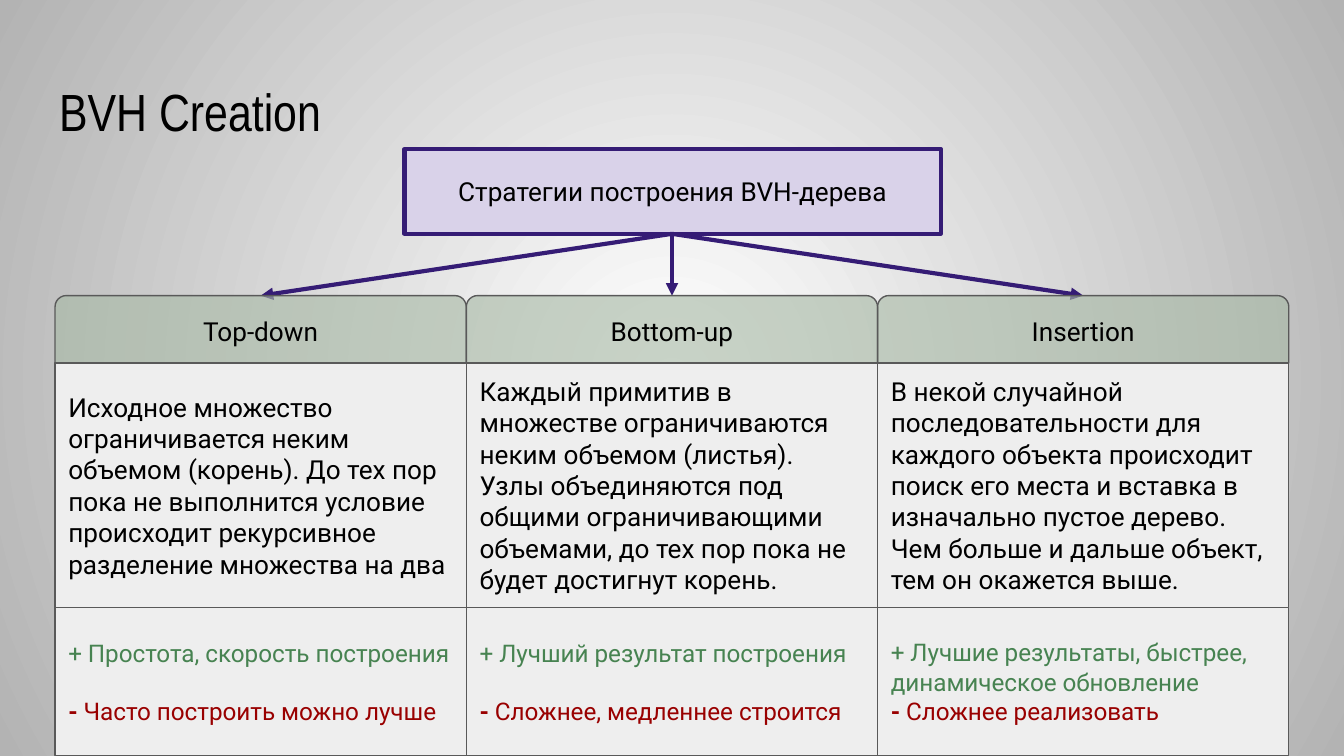
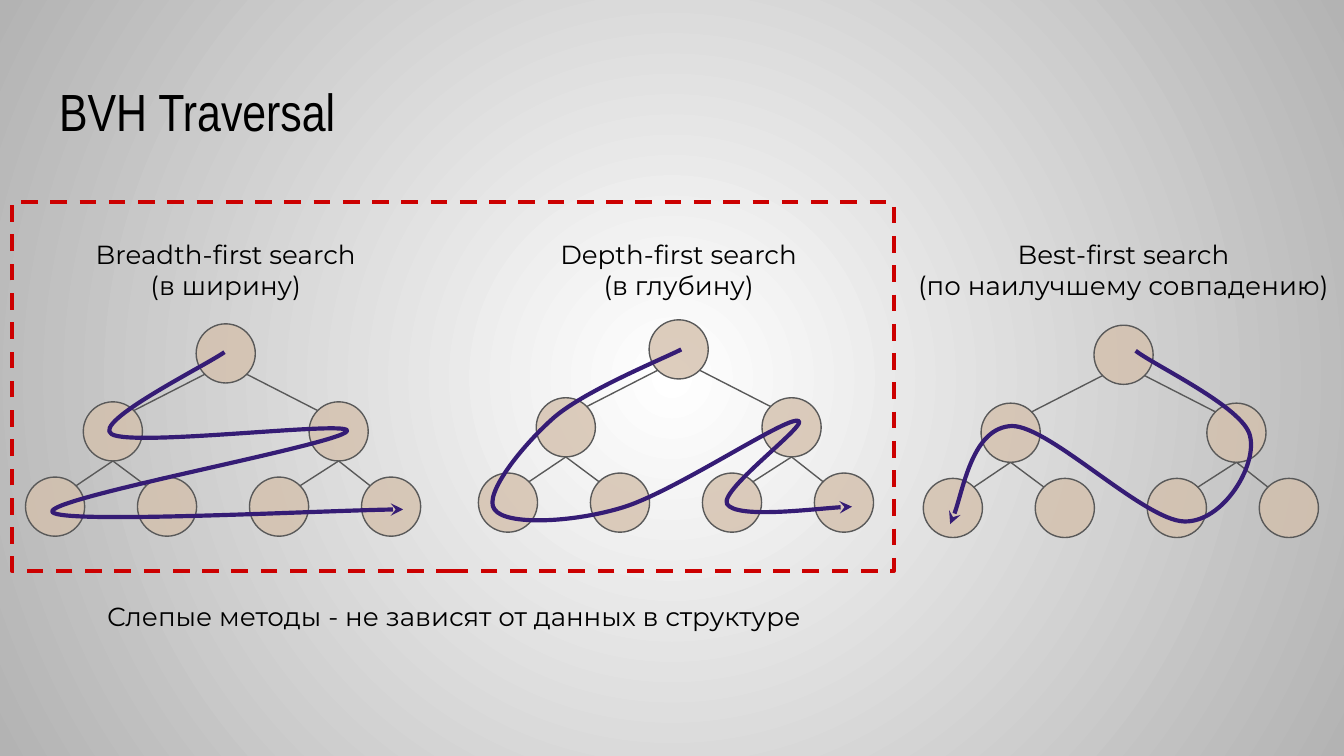
import pptx
import pptx.dml.color
import pptx.enum.dml
import pptx.enum.shapes
import pptx.enum.text
import pptx.oxml
import pptx.oxml.ns
import pptx.util
from lxml import etree

Inches, Pt = pptx.util.Inches, pptx.util.Pt
SHAPE = pptx.enum.shapes.MSO_SHAPE
ALIGN = pptx.enum.text.PP_ALIGN
ANCHOR = pptx.enum.text.MSO_ANCHOR
qn = pptx.oxml.ns.qn

# Shared style
INK, ACCENT, OUTLINE = "000000", "351C75", "595959"
GREEN, RED, FRAME = "478351", "990000", "CC0000"
LILAC, SAGE, PAPER, SAND = "D9D2E9", "A9BAA7", "EEEEEE", "D4C0AC"
TITLE_FONT, TABLE_FONT, TREE_FONT = "Arial Narrow", "Roboto", "Montserrat"
TITLE_BOX = (0.34, 0.49, 9.32, 0.63)

STRATEGIES = [
    ("Top-down",
     "Исходное множество ограничивается неким объемом (корень). До тех пор пока не "
     "выполнится условие происходит рекурсивное разделение множества на два",
     "+ Простота, скорость построения", " Часто построить можно лучше", 15.5),
    ("Bottom-up",
     "Каждый примитив в множестве ограничиваются неким объемом (листья). Узлы "
     "объединяются под общими ограничивающими объемами, до тех пор пока не будет "
     "достигнут корень.",
     "+ Лучший результат построения", " Сложнее, медленнее строится", 15.5),
    ("Insertion",
     "В некой случайной последовательности для каждого объекта происходит поиск его "
     "места и вставка в изначально пустое дерево. Чем больше и дальше объект, тем он "
     "окажется выше.",
     "+ Лучшие результаты, быстрее, динамическое обновление",
     " Сложнее реализовать", 0),
]

# Tree position, label width and lines, then the visiting route:
# start point and Bezier segments relative to the tree
SEARCHES = [
    (0.19, 2.41, 3.18, ["Breadth-first search", "(в ширину)"], (2.81, 1.38), [
        (2.37, 1.38, 0.27, 1.49, 0.2, 1.4), (0.13, 1.3, 2.32, 0.9, 2.39, 0.8),
        (2.47, 0.71, 0.8, 0.92, 0.64, 0.82), (0.49, 0.73, 1.34, 0.31, 1.48, 0.21)]),
    (3.56, 2.38, 3.18, ["Depth-first search", "(в глубину)"], (2.78, 1.39), [
        (2.63, 1.39, 1.92, 1.48, 1.85, 1.37), (1.79, 1.26, 2.51, 0.74, 2.37, 0.75),
        (2.24, 0.75, 1.44, 1.29, 1.06, 1.4), (0.69, 1.51, 0.2, 1.53, 0.12, 1.41),
        (0.03, 1.3, 0.34, 0.92, 0.57, 0.72), (0.81, 0.52, 1.35, 0.3, 1.51, 0.22)]),
    (6.87, 2.42, 4.03, ["Best-first search", "(по наилучшему совпадению)"], (0.2, 1.48), [
        (0.27, 1.36, 0.37, 0.76, 0.66, 0.75), (0.94, 0.75, 1.64, 1.45, 1.94, 1.46),
        (2.23, 1.47, 2.49, 1.04, 2.43, 0.82), (2.38, 0.61, 1.72, 0.3, 1.58, 0.19)]),
]


def rgb(value):
    return pptx.dml.color.RGBColor.from_string(value)


def sub(parent, tag, **attrs):
    return etree.SubElement(parent, qn(tag), {k: str(v) for k, v in attrs.items()})


def set_attrs(target, values):
    for name, value in values.items():
        setattr(target, name, value)


def set_line(shape, color, width, **ends):
    shape.line.color.rgb = rgb(color)
    shape.line.width = Pt(width)
    for end, kind in ends.items():
        sub(shape.line._get_or_add_ln(), f"a:{end}", type=kind)


# Text: each paragraph is a list of (text, colour, bold) runs
def write(shape, paragraphs, font, size, align=ALIGN.LEFT, anchor=ANCHOR.TOP, gap=0):
    tf = shape.text_frame
    margins = {f"margin_{side}": Inches(0.1) for side in ("left", "right", "top", "bottom")}
    set_attrs(tf, {"word_wrap": True, "vertical_anchor": anchor,
                   "auto_size": pptx.enum.text.MSO_AUTO_SIZE.NONE, **margins})
    for i, runs in enumerate(paragraphs):
        p = tf.add_paragraph() if i else tf.paragraphs[0]
        p.alignment = align
        if i and gap:
            p.space_before = Pt(gap)
        for text, color, bold in runs:
            r = p.add_run()
            r.text = text
            set_attrs(r.font, {"name": font, "size": Pt(size), "bold": bold})
            r.font.color.rgb = rgb(color)


def plain(*lines):
    return [[(line, INK, False)] for line in lines]


def add_box(s, kind, box, fill=None, line=OUTLINE, width=0.75, alpha=100):
    sp = s.shapes.add_shape(kind, *map(Inches, box))
    sp.shadow.inherit = False
    if fill:
        sp.fill.solid()
        sp.fill.fore_color.rgb = rgb(fill)
        if alpha < 100:
            sub(sp.fill._xPr.find(".//" + qn("a:srgbClr")), "a:alpha", val=alpha * 1000)
    else:
        sp.fill.background()
    set_line(sp, line, width)
    return sp


def add_line(s, start, end, color=OUTLINE, width=0.75, **ends):
    line = s.shapes.add_connector(pptx.enum.shapes.MSO_CONNECTOR.STRAIGHT,
                                  *map(Inches, (*start, *end)))
    set_line(line, color, width, **ends)
    sub(line._element.spPr, "a:effectLst")


def add_label(s, box, lines):
    write(s.shapes.add_textbox(*map(Inches, box)), plain(*lines), TREE_FONT, 14, ALIGN.CENTER)


def add_curve(s, x, y, start, segments):
    """Draw a smooth open route; points are inches relative to (x, y)."""
    def mils(dx, dy):
        return round((x + dx) * 1000), round((y + dy) * 1000)

    nodes = [mils(*start)] + [mils(*seg[4:]) for seg in segments]
    builder = s.shapes.build_freeform(*nodes[0], scale=Inches(1) / 1000)
    builder.add_line_segments(nodes[1:], close=False)
    sp = builder.convert_to_shape()
    left, top = (min(axis) for axis in zip(*nodes))
    # Turn the straight segments into Bezier ones
    for straight, seg in zip(list(sp._element.iter(qn("a:lnTo"))), segments):
        curve = etree.Element(qn("a:cubicBezTo"))
        for i in (0, 2, 4):
            px, py = mils(*seg[i:i + 2])
            sub(curve, "a:pt", x=px - left, y=py - top)
        straight.getparent().replace(straight, curve)
    sp.shadow.inherit = False
    sp.fill.background()
    set_line(sp, ACCENT, 2.25, headEnd="stealth")


def set_background(master):
    fill = master.background.fill
    fill.gradient()
    for stop, color in zip(fill.gradient_stops, ("FFFFFF", "B3B3B3")):
        stop.color.rgb = rgb(color)
    lin = master.element.xpath(".//p:bg//a:lin")[0]
    radial = etree.Element(qn("a:path"), {"path": "circle"})
    sub(radial, "a:fillToRect", l=50000, t=50000, r=50000, b=50000)
    lin.getparent().replace(lin, radial)


def add_slide(prs, title):
    s = prs.slides.add_slide(prs.slide_layouts[5])
    sp = s.shapes.title
    set_attrs(sp, dict(zip(("left", "top", "width", "height"), map(Inches, TITLE_BOX))))
    write(sp, plain(title), TITLE_FONT, 28)
    return s


# Slide 1: strategies
def add_strategy(s, x, y, w, strategy):
    name, text, pro, con, gap = strategy
    head_h, text_h, notes_h = 0.5, 1.82, 1.1
    head = add_box(s, SHAPE.ROUND_2_SAME_RECTANGLE, (x, y, w, head_h), SAGE, alpha=63)
    write(head, plain(name), TABLE_FONT, 14, ALIGN.CENTER, ANCHOR.MIDDLE)
    body = add_box(s, SHAPE.RECTANGLE, (x, y + head_h, w, text_h), PAPER)
    write(body, plain(text), TABLE_FONT, 14, anchor=ANCHOR.MIDDLE)
    notes = add_box(s, SHAPE.RECTANGLE, (x, y + head_h + text_h, w, notes_h), PAPER)
    write(notes, [[(pro, GREEN, False)], [("-", RED, True), (con, RED, False)]],
          TABLE_FONT, 13, anchor=ANCHOR.MIDDLE, gap=gap)


def creation_slide(prs):
    s = add_slide(prs, "BVH Creation")
    x, y, w = 0.41, 2.2, 3.06
    root = add_box(s, SHAPE.RECTANGLE, (3.01, 1.11, 3.99, 0.63), LILAC, ACCENT, 2.25)
    write(root, plain("Стратегии построения BVH-дерева"), TABLE_FONT, 14,
          ALIGN.CENTER, ANCHOR.MIDDLE)
    for i in (0, 2, 1):
        add_line(s, (5, 1.74), (x + (i + 0.5) * w, y), ACCENT, 2.25, tailEnd="triangle")
    for i, strategy in enumerate(STRATEGIES):
        add_strategy(s, x + i * w, y, w, strategy)


# Slide 2: tree traversal
def add_tree(s, x, y):
    d = 0.44
    near, far = 0.15 * d, 0.85 * d  # diagonal points on a node's rim
    root, mids = (x + 1.27, y), [(x + 0.43, y + 0.58), (x + 2.11, y + 0.58)]
    leaves = [(x + i * 2.5 / 3, y + 1.14) for i in range(4)]
    for node in [mids[1], root, mids[0], *leaves]:
        add_box(s, SHAPE.OVAL, (*node, d, d), SAND, alpha=79)
    for (mx, my), inner, outer in zip(mids, (far, near), (near, far)):
        add_line(s, (mx + inner, my + near), (root[0] + outer, y + far))
    for i, (lx, ly) in enumerate(leaves):
        mx, my = mids[i // 2]
        add_line(s, (lx + (near if i % 2 else far), ly + near), (mx + d / 2, my + d))


def traversal_slide(prs):
    s = add_slide(prs, "BVH Traversal")
    for x, y, *_ in SEARCHES:
        add_tree(s, x, y)
    frame = add_box(s, SHAPE.RECTANGLE, (0.09, 1.5, 6.56, 2.75), line=FRAME, width=2.25)
    frame.line.dash_style = pptx.enum.dml.MSO_LINE.DASH
    for x, y, label_w, label, start, segments in SEARCHES:
        add_curve(s, x, y, start, segments)
        add_label(s, (x + 1.49 - label_w / 2, 1.67, label_w, 0.52), label)
    add_label(s, (0.1, 4.37, 6.56, 0.44), ["Слепые методы - не зависят от данных в структуре"])


def main():
    prs = pptx.Presentation()
    prs.slide_width, prs.slide_height = Inches(10), Inches(10 * 9 / 16)
    set_background(prs.slide_master)
    creation_slide(prs)
    traversal_slide(prs)
    prs.save("out.pptx")


if __name__ == "__main__":
    main()
